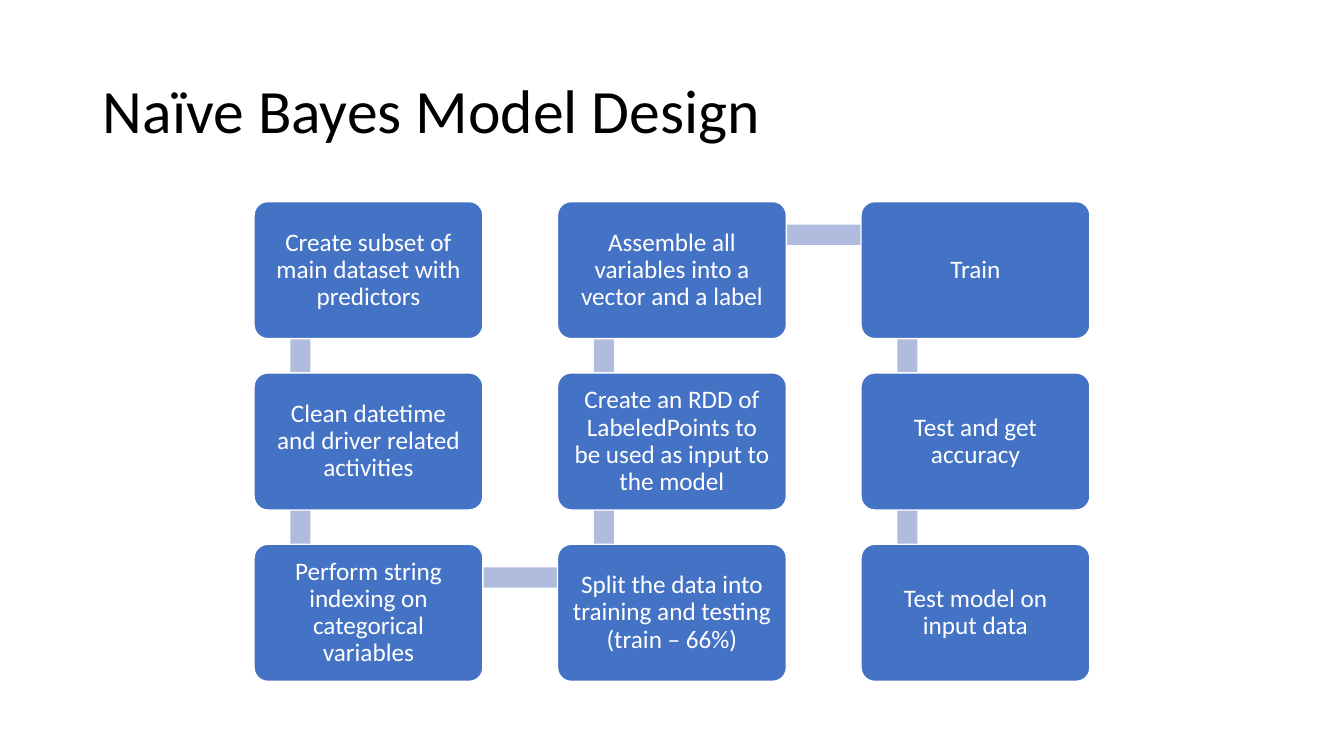
import pptx
import pptx.util
import pptx.dml.color
import pptx.enum.shapes
import pptx.enum.text

TITLE = "Naïve Bayes Model Design"
STEPS = [
    "Create subset of main dataset with predictors",
    "Clean datetime and driver related activities",
    "Perform string indexing on categorical variables",
    "Split the data into training and testing (train – 66%)",
    "Create an RDD of LabeledPoints to be used as input to the model",
    "Assemble all variables into a vector and a label",
    "Train",
    "Test and get accuracy",
    "Test model on input data",
]


class Theme:
    font = "Calibri"
    title, body = 44, 18
    ink, paper, box, bar = "000000", "FFFFFF", "4472C4", "B0BCDE"


ROWS = 3
LEFT, TOP = 2.52, 2.0
WIDE, HIGH = 2.27, 1.36
STEP_X, STEP_Y = 3.01, 1.7
PIN_X, PIN_Y = 0.46, 0.33  # where the bars meet, inside each box
BAR = 0.2
INSET = 0.11

Inch = pptx.util.Inches
Kind = pptx.enum.shapes.MSO_SHAPE
Align = pptx.enum.text.PP_ALIGN
Anchor = pptx.enum.text.MSO_ANCHOR


def color(code):
    return pptx.dml.color.RGBColor.from_string(code)


def place(index):
    """Corner of a step's box; the path runs down one column and up the next."""
    col, row = divmod(index, ROWS)
    if col % 2:
        row = ROWS - 1 - row
    return LEFT + col * STEP_X, TOP + row * STEP_Y


def style(frame, text, size, ink, align):
    frame.text = text
    frame.word_wrap = True
    frame.vertical_anchor = Anchor.MIDDLE
    para = frame.paragraphs[0]
    para.alignment = align
    para.line_spacing = 0.9
    para.font.name = Theme.font
    para.font.size = pptx.util.Pt(size)
    para.font.color.rgb = color(ink)


def block(slide, kind, x, y, wide, high, fill):
    shape = slide.shapes.add_shape(kind, Inch(x), Inch(y), Inch(wide), Inch(high))
    shape.shadow.inherit = False
    shape.fill.solid()
    shape.fill.fore_color.rgb = color(fill)
    shape.line.fill.background()
    return shape


def add_bar(slide, start, end):
    """Join the pins of two boxes with a flat bar."""
    x, y = min(start[0], end[0]) + PIN_X, min(start[1], end[1]) + PIN_Y
    run, drop = abs(end[0] - start[0]), abs(end[1] - start[1])
    if run > drop:
        block(slide, Kind.RECTANGLE, x, y - BAR / 2, run, BAR, Theme.bar)
    else:
        block(slide, Kind.RECTANGLE, x - BAR / 2, y, BAR, drop, Theme.bar)


def add_box(slide, spot, text):
    box = block(slide, Kind.ROUNDED_RECTANGLE, *spot, WIDE, HIGH, Theme.box)
    box.adjustments[0] = 0.1
    box.line.color.rgb = color(Theme.paper)
    box.line.width = pptx.util.Pt(1)
    frame = box.text_frame
    frame.margin_left = frame.margin_right = Inch(INSET)
    frame.margin_top = frame.margin_bottom = Inch(INSET)
    style(frame, text, Theme.body, Theme.paper, Align.CENTER)


def main():
    deck = pptx.Presentation()
    deck.slide_width, deck.slide_height = Inch(13.33), Inch(7.5)
    slide = deck.slides.add_slide(deck.slide_layouts[5])

    title = slide.shapes.title
    title.left, title.top = Inch(0.92), Inch(0.4)
    title.width, title.height = Inch(11.5), Inch(1.45)
    style(title.text_frame, TITLE, Theme.title, Theme.ink, Align.LEFT)

    spots = [place(i) for i in range(len(STEPS))]
    for start, end in zip(spots, spots[1:]):
        add_bar(slide, start, end)
    for spot, text in zip(spots, STEPS):
        add_box(slide, spot, text)
    deck.save("out.pptx")


if __name__ == "__main__":
    main()
